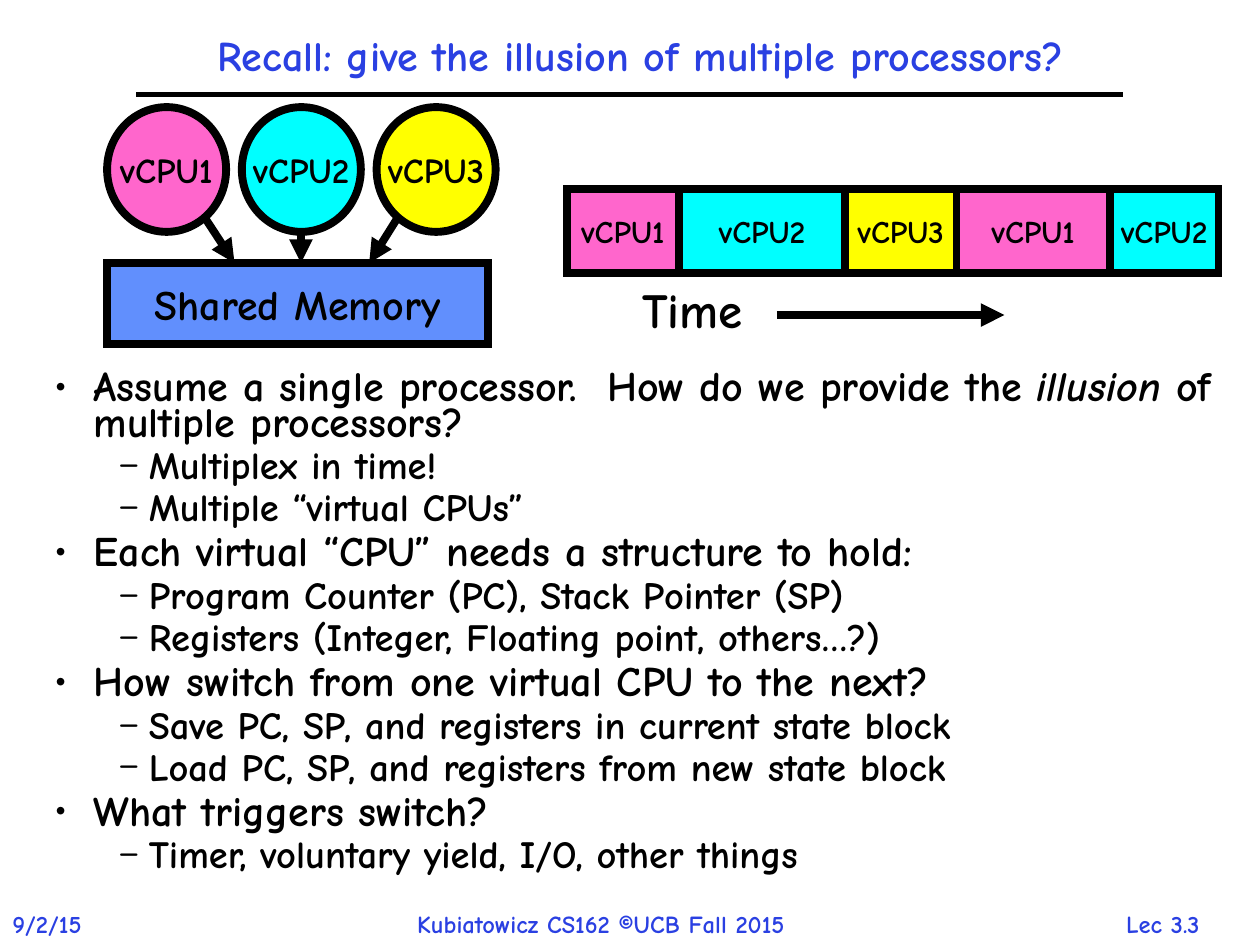
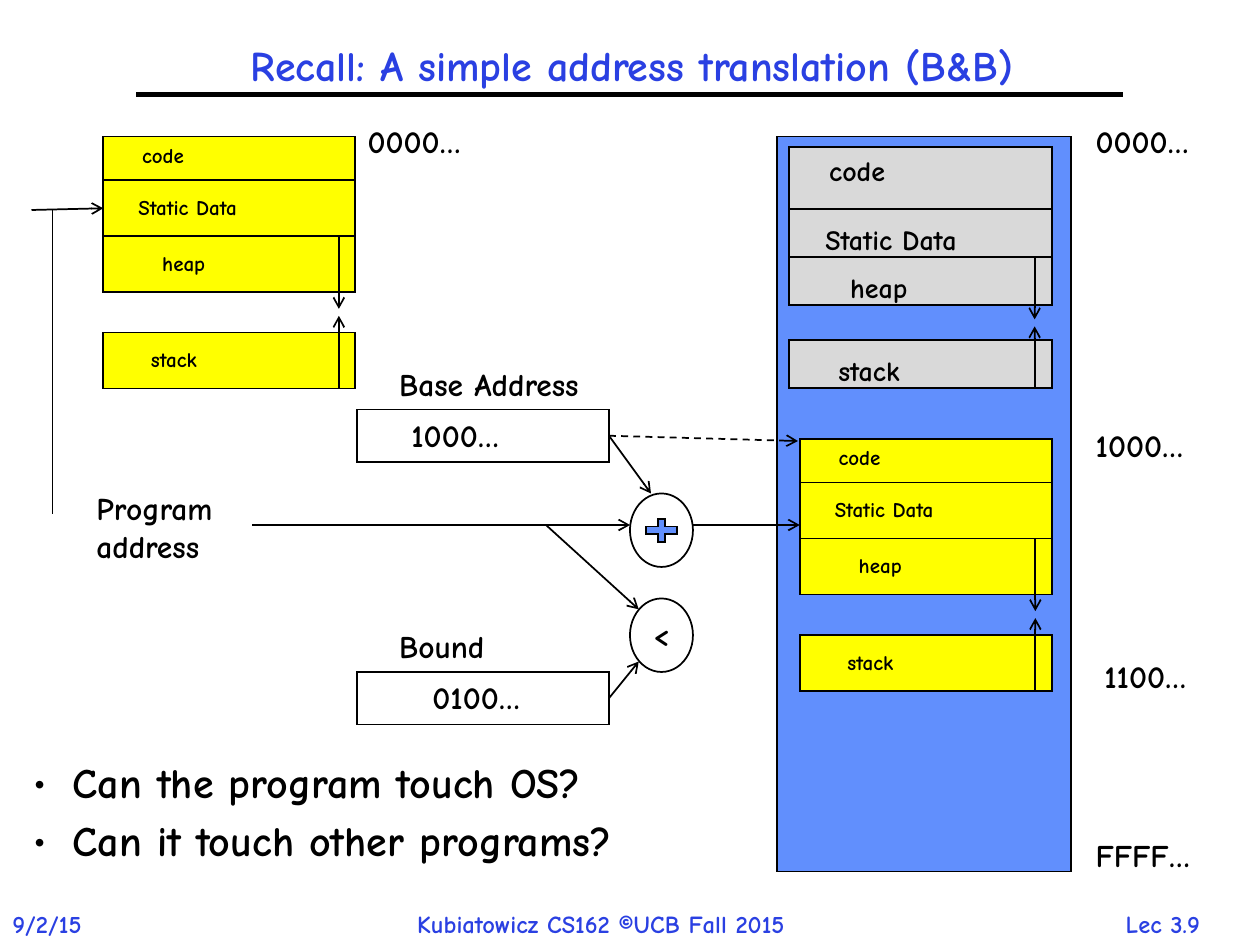
"""Build two lecture slides on virtual processors and base-and-bound address translation."""
from dataclasses import dataclass

import pptx
import pptx.dml.color
import pptx.enum.dml
import pptx.enum.shapes
import pptx.enum.text
import pptx.oxml.ns
import pptx.util
from lxml import etree

Pt = pptx.util.Pt
Shape = pptx.enum.shapes.MSO_SHAPE
Align = pptx.enum.text.PP_ALIGN
Anchor = pptx.enum.text.MSO_ANCHOR
qn = pptx.oxml.ns.qn


@dataclass(frozen=True)
class Theme:
    font: str = "Comic Neue"
    ink: str = "000000"
    accent: str = "2A40E2"
    pink: str = "FF66CC"
    cyan: str = "00FFFF"
    yellow: str = "FFFF00"
    blue: str = "618FFD"
    gray: str = "D9D9D9"
    heading: int = 24
    subpoint: int = 22
    processor: int = 20
    label: int = 18
    system: int = 16
    footer: int = 14
    program: int = 12
    time: int = 28
    thin: float = 1
    rule: float = 3
    thick: float = 4.5


class Deck:
    def __init__(self, theme):
        self.theme = theme
        self.presentation = pptx.Presentation()
        self.presentation.slide_width = Pt(720)
        self.presentation.slide_height = Pt(540)
        self.slide = None

    def color(self, value):
        return pptx.dml.color.RGBColor.from_string(value)

    def format_runs(self, paragraph, size, color):
        for run in paragraph.runs:
            run.font.name = self.theme.font
            run.font.size = Pt(size)
            run.font.bold = True
            run.font.color.rgb = self.color(color)

    def add_slide(self, title, title_box, number):
        theme = self.theme
        self.slide = self.presentation.slides.add_slide(self.presentation.slide_layouts[6])
        self.text(0, 516, 63, 24, "9/2/15", theme.footer, theme.accent)
        self.text(231.3, 516, 260, 24, "Kubiatowicz CS162 ©UCB Fall 2015", theme.footer, theme.accent)
        self.text(621, 516, 87, 24, number, theme.footer, theme.accent, Align.CENTER)
        self.line((78, 54), (642, 54), theme.rule)
        heading = self.text(*title_box, title, theme.heading, theme.accent, Align.CENTER, wrap=True)
        heading.text_frame.vertical_anchor = Anchor.MIDDLE
        heading.text_frame.paragraphs[0].line_spacing = 0.9

    def text(self, left, top, width, height, text, size, color=None, align=Align.LEFT, wrap=False):
        box = self.slide.shapes.add_textbox(Pt(left), Pt(top), Pt(width), Pt(height))
        frame = box.text_frame
        frame.text = text
        frame.word_wrap = wrap
        if not wrap:
            frame.auto_size = pptx.enum.text.MSO_AUTO_SIZE.SHAPE_TO_FIT_TEXT
        for paragraph in frame.paragraphs:
            paragraph.alignment = align
            self.format_runs(paragraph, size, color or self.theme.ink)
        return box

    def shape(self, kind, left, top, width, height, fill=None, weight=None, text="", size=None):
        shape = self.slide.shapes.add_shape(kind, Pt(left), Pt(top), Pt(width), Pt(height))
        shape.shadow.inherit = False
        if fill:
            shape.fill.solid()
            shape.fill.fore_color.rgb = self.color(fill)
        else:
            shape.fill.background()
        shape.line.color.rgb = self.color(self.theme.ink)
        shape.line.width = Pt(weight or self.theme.thin)
        etree.SubElement(shape.get_or_add_ln(), qn("a:miter"), lim="800000")
        if text:
            frame = shape.text_frame
            frame.text = text
            frame.word_wrap = False
            frame.vertical_anchor = Anchor.MIDDLE
            frame.paragraphs[0].alignment = Align.CENTER
            self.format_runs(frame.paragraphs[0], size, self.theme.ink)

    def line(self, start, end, weight=None, head=None, dashed=False):
        connector = self.slide.shapes.add_connector(
            pptx.enum.shapes.MSO_CONNECTOR.STRAIGHT, *(Pt(value) for value in (*start, *end)))
        connector.line.color.rgb = self.color(self.theme.ink)
        connector.line.width = Pt(weight or self.theme.thin)
        if dashed:
            connector.line.dash_style = pptx.enum.dml.MSO_LINE.DASH
        if head:
            etree.SubElement(connector.get_or_add_ln(), qn("a:tailEnd"), type=head)
        etree.SubElement(connector._element.spPr, qn("a:effectLst"))

    def bullets(self, left, top, width, height, points, line_spacing, gap):
        """Write (level, text) points; text between asterisks is italic."""
        theme = self.theme
        box = self.slide.shapes.add_textbox(Pt(left), Pt(top), Pt(width), Pt(height))
        frame = box.text_frame
        frame.word_wrap = True
        for index, (level, text) in enumerate(points):
            paragraph = frame.add_paragraph() if index else frame.paragraphs[0]
            for part, words in enumerate(text.split("*")):
                run = paragraph.add_run()
                run.text = words
                run.font.italic = part % 2 == 1
            size, margin, indent, mark = (
                (theme.subpoint, 54, 18, "–") if level else (theme.heading, 22.5, 22.5, "•"))
            self.format_runs(paragraph, size, theme.ink)
            paragraph.level = level
            paragraph.line_spacing = line_spacing
            paragraph.space_before = Pt(gap * size)
            properties = paragraph._p.get_or_add_pPr()
            properties.set("marL", str(Pt(margin)))
            properties.set("indent", str(-Pt(indent)))
            etree.SubElement(properties, qn("a:buFont"), typeface=theme.font)
            etree.SubElement(properties, qn("a:buChar"), char=mark)

    def memory(self, left, top, width, heights, stack_top, fill, size, drop):
        """Draw code, static data, heap and stack segments with their growth arrows."""
        code, data, heap, stack = heights
        tops = (0, code, code + data, stack_top)
        names = ("code", "Static Data", "heap", "stack")
        insets = (0.105, 0.09, 0.185, 0.14)
        for name, offset, segment_height, inset in zip(names, tops, heights, insets):
            self.shape(Shape.RECTANGLE, left, top + offset, width, segment_height, fill)
            self.text(left + inset * width, top + offset + (drop if offset else 0),
                      0.75 * width, 22, name, size)
        arrow_x = left + 0.935 * width
        for start, end in ((stack_top + stack, 102.5), (tops[2], 98.5)):
            self.line((arrow_x, top + start), (arrow_x, top + end), head="arrow")


def build_processors(deck):
    theme = deck.theme
    deck.add_slide("Recall: give the illusion of multiple processors?", (36, 12, 660, 42), "Lec 3.3")
    processors = {"vCPU1": theme.pink, "vCPU2": theme.cyan, "vCPU3": theme.yellow}
    for index, (name, fill) in enumerate(processors.items()):
        deck.shape(Shape.OVAL, 61.2 + 77 * index, 61.2, 68, 71.3, fill, theme.thick,
                   name, theme.processor)
    deck.shape(Shape.RECTANGLE, 61.2, 150.3, 217.7, 46.3, theme.blue, theme.thick,
               "Shared Memory", theme.heading)
    for start, end_x in (((116.8, 124), 134), ((227.5, 124), 211), ((172, 132.5), 172)):
        deck.line(start, (end_x, 150.3), theme.thick, "triangle")

    deck.bullets(24, 210, 678, 312, (
        (0, "Assume a single processor.  How do we provide the *illusion* of multiple processors?"),
        (1, "Multiplex in time!"),
        (1, "Multiple “virtual CPUs”"),
        (0, "Each virtual “CPU” needs a structure to hold:"),
        (1, "Program Counter (PC), Stack Pointer (SP)"),
        (1, "Registers (Integer, Floating point, others…?)"),
        (0, "How switch from one virtual CPU to the next?"),
        (1, "Save PC, SP, and registers in current state block"),
        (1, "Load PC, SP, and registers from new state block"),
        (0, "What triggers switch?"),
        (1, "Timer, voluntary yield, I/O, other things"),
    ), 0.7, 0.25)

    left = 324
    for name, width in (("vCPU1", 64), ("vCPU2", 95), ("vCPU3", 63.6), ("vCPU1", 87.7), ("vCPU2", 62)):
        deck.shape(Shape.RECTANGLE, left, 108, width, 48, processors[name], theme.thick,
                   name, theme.label)
        left += width
    deck.text(360, 156, 92, 41, "Time", theme.time)
    deck.line((444, 180), (574, 180), theme.thick, "triangle")


def build_translation(deck):
    theme = deck.theme
    deck.add_slide("Recall: A simple address translation (B&B)", (54, 18, 614, 42), "Lec 3.9")
    deck.bullets(12, 432, 420, 90, (
        (0, "Can the program touch OS?"),
        (0, "Can it touch other programs?"),
    ), 0.9, 0.3)

    deck.shape(Shape.RECTANGLE, 444, 78, 168, 420, theme.blue)
    deck.memory(451, 84, 150, (35.4, 27.5, 27.5, 27.5), 110.4, theme.gray, theme.system, 4)
    for left, top in ((457, 250.7), (59, 78)):
        deck.memory(left, top, 144, (25, 32, 32, 32), 112, theme.yellow, theme.program, 4.7)

    for left, top, width, caption in (
        (619, 66, 73, "0000…"), (619, 474, 77, "FFFF…"), (619, 240, 73, "1000…"),
        (624, 372, 72, "1100…"), (203, 66, 73, "0000…"), (48, 276, 84, "Program\naddress"),
        (221, 205, 127, "Base Address"), (221, 355, 78, "Bound"),
        (228, 234, 73, "1000…"), (240, 384, 73, "0100…"), (366, 348, 25, "<"),
    ):
        deck.text(left, top, width, 29, caption, theme.label)

    for register_top in (234, 384):
        deck.shape(Shape.RECTANGLE, 204, register_top, 144, 30)
    for operator_top in (282, 342):
        deck.shape(Shape.OVAL, 360, operator_top, 36, 42)
    deck.shape(Shape.MATH_PLUS, 366, 294, 24, 18, theme.blue)

    deck.line((348, 249), (456, 252), head="arrow", dashed=True)
    for start, end in (
        ((144, 300), (360, 300)), ((18, 120), (59, 119)), ((396, 300), (457, 300)),
        ((348, 249), (372, 282)), ((312, 300), (365, 348.2)), ((348, 399), (365, 378)),
    ):
        deck.line(start, end, head="arrow")
    deck.line((30, 120), (30, 294))


def main():
    deck = Deck(Theme())
    build_processors(deck)
    build_translation(deck)
    deck.presentation.save("out.pptx")


if __name__ == "__main__":
    main()
